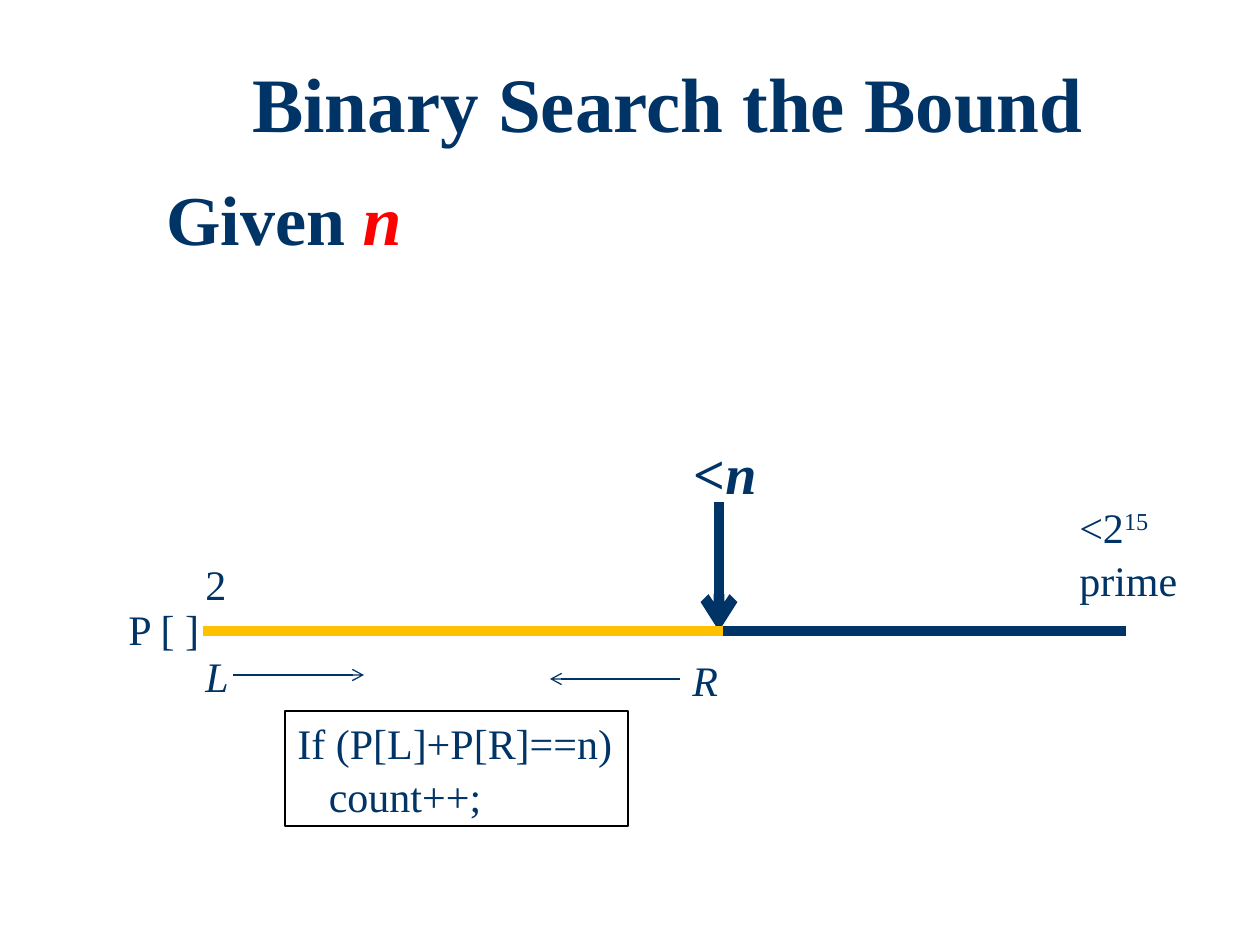
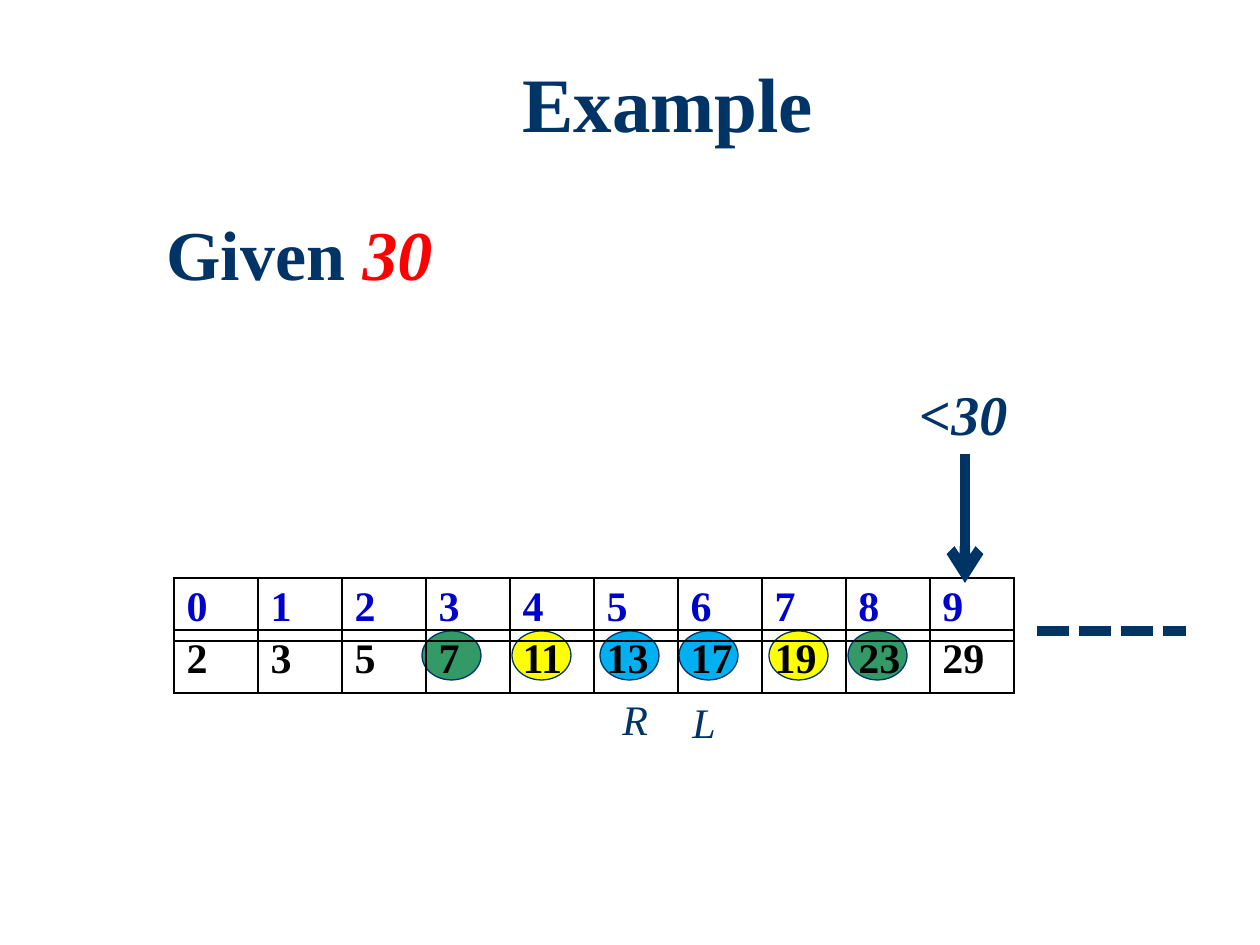
import collections

import pptx
import pptx.dml.color
import pptx.enum.dml
import pptx.enum.shapes
import pptx.enum.text
import pptx.oxml
import pptx.oxml.ns
import pptx.util

NAVY = pptx.dml.color.RGBColor(0x00, 0x33, 0x66)
RED = pptx.dml.color.RGBColor(0xFF, 0x00, 0x00)
AMBER = pptx.dml.color.RGBColor(0xFF, 0xC0, 0x00)
BLACK = pptx.dml.color.RGBColor(0x00, 0x00, 0x00)
WHITE = pptx.dml.color.RGBColor(0xFF, 0xFF, 0xFF)
INDEX_BLUE = pptx.dml.color.RGBColor(0x00, 0x00, 0xCC)
SKY = pptx.dml.color.RGBColor(0x00, 0xB0, 0xF0)
YELLOW = pptx.dml.color.RGBColor(0xFF, 0xFF, 0x00)
GREEN = pptx.dml.color.RGBColor(0x33, 0x99, 0x66)

FONT = "Times New Roman"
PIXELS_PER_INCH = 126
DASH = pptx.enum.dml.MSO_LINE.SQUARE_DOT
SHAPES = pptx.enum.shapes.MSO_SHAPE
NAMESPACE = pptx.oxml.ns.nsdecls("a")

Span = collections.namedtuple("Span", "text color italic raised", defaults=(NAVY, False, False))


def px(length):
    return pptx.util.Emu(round(length * 914400 / PIXELS_PER_INCH))


class Board:
    def __init__(self):
        self.deck = pptx.Presentation()
        self.deck.slide_width = px(1260)
        self.deck.slide_height = px(945)
        self.page = None

    def new_page(self, title):
        self.page = self.deck.slides.add_slide(self.deck.slide_layouts[6])
        box = self.page.shapes.add_textbox(px(164), px(50), px(1008), px(116))
        frame = box.text_frame
        frame.word_wrap = True
        frame.vertical_anchor = pptx.enum.text.MSO_ANCHOR.MIDDLE
        para = frame.paragraphs[0]
        para.alignment = pptx.enum.text.PP_ALIGN.CENTER
        para.line_spacing = 0.9
        self.add_spans(para, [Span(title)], 44, True)

    def add_spans(self, para, spans, size, bold=False):
        for part in spans:
            span = para.add_run()
            span.text = part.text
            span.font.name = FONT
            span.font.size = pptx.util.Pt(size)
            span.font.bold = bold
            span.font.italic = part.italic
            span.font.color.rgb = part.color
            if part.raised:
                span._r.get_or_add_rPr().set("baseline", "30000")

    def fill_text(self, box, lines, size=24, bold=False):
        frame = box.text_frame
        frame.word_wrap = False
        frame.auto_size = pptx.enum.text.MSO_AUTO_SIZE.SHAPE_TO_FIT_TEXT
        frame.vertical_anchor = pptx.enum.text.MSO_ANCHOR.TOP
        for number, spans in enumerate(lines):
            para = frame.add_paragraph() if number else frame.paragraphs[0]
            para.alignment = pptx.enum.text.PP_ALIGN.LEFT
            para.space_before = pptx.util.Pt(1.5 if number else 0)
            self.add_spans(para, spans, size, bold)

    def label(self, left, top, width, height, lines, size=24, bold=False):
        box = self.page.shapes.add_textbox(px(left), px(top), px(width), px(height))
        self.fill_text(box, lines, size, bold)

    def given(self, top, width, value):
        self.label(154, top, width, 97, [[Span("Given "), Span(value, RED, True)]], 40, True)

    def bound(self, left, top, width, value):
        self.label(left, top, width, 81, [[Span("<"), Span(value, NAVY, True)]], 32, True)

    def pointer(self, left, top, letter):
        self.label(left, top, 50, 63, [[Span(letter, NAVY, True)]])

    def shape(self, kind, left, top, width, height, fill, outline):
        box = self.page.shapes.add_shape(kind, px(left), px(top), px(width), px(height))
        box.shadow.inherit = False
        box.fill.solid()
        box.fill.fore_color.rgb = fill
        box.line.color.rgb = outline
        box.line.width = pptx.util.Pt(0.75)
        return box

    def line(self, start, end, color=NAVY, weight=6, arrow=False, dash=None):
        rule = self.page.shapes.add_connector(
            pptx.enum.shapes.MSO_CONNECTOR.STRAIGHT, *map(px, start + end))
        rule.line.color.rgb = color
        rule.line.width = pptx.util.Pt(weight)
        if dash:
            rule.line.dash_style = dash
        if arrow:
            rule.line._get_or_add_ln().append(
                pptx.oxml.parse_xml(f'<a:tailEnd {NAMESPACE} type="arrow"/>'))
        rule._element.spPr.append(pptx.oxml.parse_xml(f"<a:effectLst {NAMESPACE}/>"))

    def number_row(self, left, top, values, color):
        cell_width, row_height = 84, 51
        frame = self.page.shapes.add_table(
            1, len(values), px(left), px(top), px(cell_width * len(values)), px(row_height))
        table = frame.table
        table.first_row = False
        table.horz_banding = False
        table.rows[0].height = px(row_height)
        for column, value in enumerate(values):
            table.columns[column].width = px(cell_width)
            cell = table.cell(0, column)
            self.add_spans(cell.text_frame.paragraphs[0], [Span(str(value), color)], 24, True)
            properties = cell._tc.get_or_add_tcPr()
            for side in "LRTB":
                properties.append(pptx.oxml.parse_xml(
                    f'<a:ln{side} {NAMESPACE} w="12700"><a:solidFill>'
                    f'<a:srgbClr val="{BLACK}"/></a:solidFill></a:ln{side}>'))
            cell.fill.background()


board = Board()

board.new_page("Binary Search the Bound")
board.given(169, 263, "n")
board.line((203, 631), (1126, 631))
board.label(193, 552, 47, 63, [[Span("2")]])
board.label(1067, 495, 125, 115, [[Span("<2"), Span("15", raised=True)], [Span("prime")]])
board.line((719, 502), (719, 631), arrow=True)
board.bound(681, 432, 89, "n")
board.line((203, 631), (723, 631), AMBER)
board.pointer(193, 644, "L")
board.pointer(680, 648, "R")
board.line((233, 675), (364, 675), weight=0.75, arrow=True)
board.line((680, 679), (550, 679), weight=0.75, arrow=True)
board.label(116, 597, 97, 63, [[Span("P [ ]")]])
condition = board.shape(SHAPES.RECTANGLE, 285, 711, 343, 115, WHITE, BLACK)
board.fill_text(condition, [[Span("If (P[L]+P[R]==n)")], [Span("count++;")]])
body = condition.text_frame.paragraphs[1]
body._p.get_or_add_pPr().set("marL", str(pptx.util.Pt(18)))

board.new_page("Example")
for color, lefts in ((SKY, (600, 679)), (YELLOW, (512, 769)), (GREEN, (422, 848))):
    for left in lefts:
        board.shape(SHAPES.OVAL, left, 631, 59, 49, color, NAVY)
board.number_row(174, 630, [2, 3, 5, 7, 11, 13, 17, 19, 23, 29], BLACK)
board.given(204, 295, "30")
board.number_row(174, 578, range(10), INDEX_BLUE)
board.line((1037, 631), (1186, 631), dash=DASH)
board.line((965, 454), (965, 583), arrow=True)
board.bound(907, 373, 115, "30")
board.pointer(680, 690, "L")
board.pointer(610, 687, "R")

board.deck.save("out.pptx")
